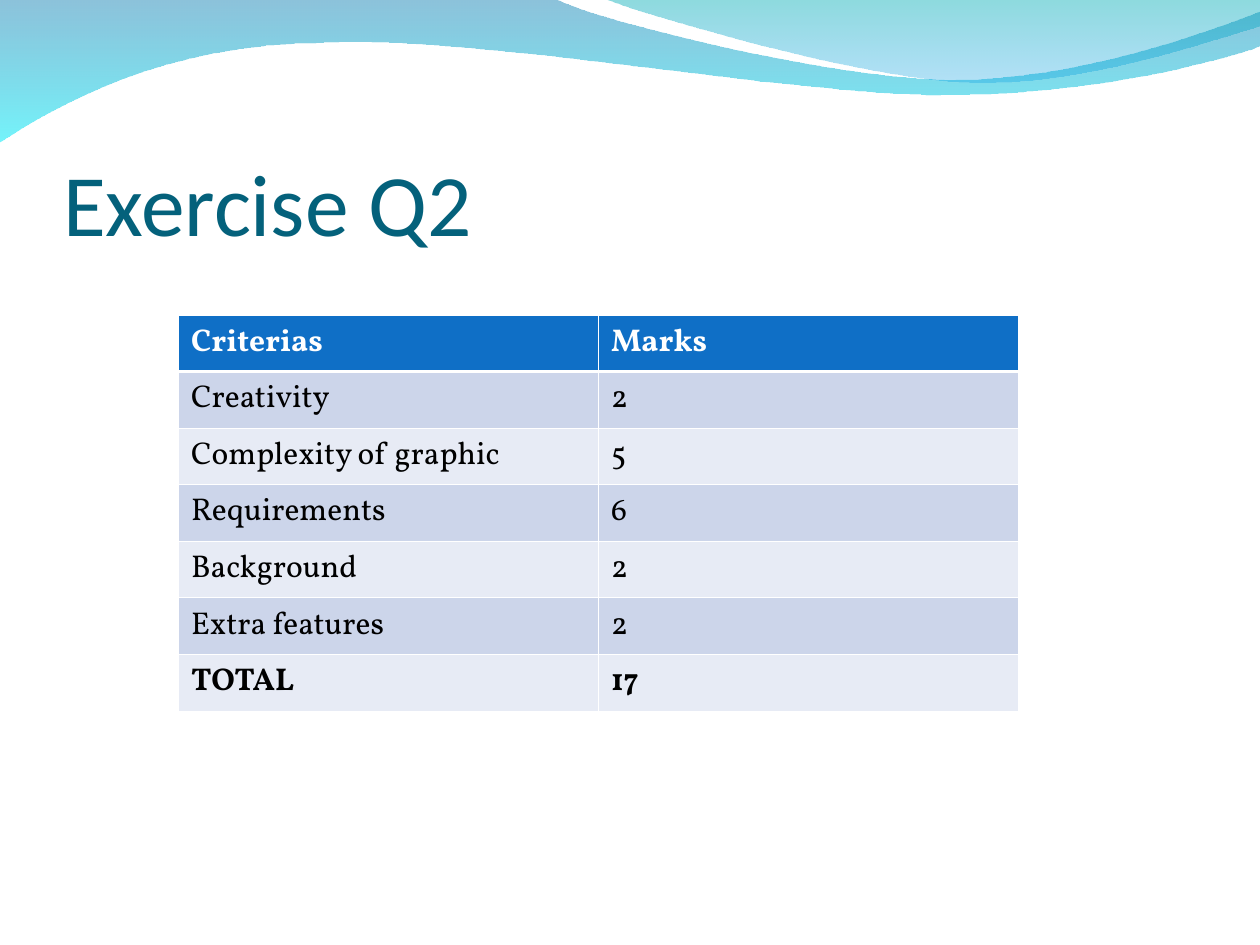
"""Build the Exercise Q2 marking slide with its wave header and criteria table."""
from dataclasses import dataclass

import lxml.etree
import pptx
import pptx.dml.color
import pptx.enum.text
import pptx.oxml.ns
import pptx.shapes.autoshape
import pptx.slide
import pptx.table
import pptx.text.text
import pptx.util

Point = tuple[float, float]

UNIT = pptx.util.Inches(1)
GRID_COLUMNS, GRID_ROWS = 10, 7.5
THIN, THICK = 0.45, 1.47
COLORS = {
    "title": "04617B",
    "header": "0F6FC6",
    "odd": "CCD5EA",
    "even": "E7EBF5",
    "white": "FFFFFF",
    "black": "000000",
    "deep": "0079AF",
    "aqua": "00EBF8",
    "teal": "00ADB6",
    "sky": "009BE5",
}
MARKS = [
    ("Criterias", "Marks"),
    ("Creativity", "2"),
    ("Complexity of graphic", "5"),
    ("Requirements", "6"),
    ("Background", "2"),
    ("Extra features", "2"),
    ("TOTAL", "17"),
]


@dataclass(frozen=True)
class Stop:
    color: str
    opacity: int


@dataclass(frozen=True)
class Wave:
    start: Point
    segments: list[tuple[Point, ...]]
    stops: tuple[Stop, Stop]


WAVES = [
    Wave(
        (0, -0.01),
        [
            ((4.4, -0.01),),
            ((4.76, 0.17), (6.64, 0.63), (7.58, 0.63)),
            ((8.53, 0.63), (9.58, 0.26), (10, 0.09)),
            ((10.01, 0.36),),
            ((9.83, 0.44), (8.7, 0.76), (7.46, 0.75)),
            ((6.22, 0.75), (3.82, 0.28), (2.57, 0.34)),
            ((1.29, 0.35), (0.46, 0.83), (-0.01, 1.13)),
            ((0, -0.01),),
        ],
        (Stop("deep", 45), Stop("aqua", 55)),
    ),
    Wave(
        (4.79, -0.01),
        [
            ((5.09, 0.11), (6.82, 0.62), (7.69, 0.65)),
            ((8.56, 0.69), (9.61, 0.32), (10, 0.21)),
            ((10, 0),),
            ((4.79, -0.01),),
        ],
        (Stop("teal", 45), Stop("sky", 30)),
    ),
]


def grid(length: float) -> pptx.util.Emu:
    return pptx.util.Emu(round(length * UNIT))


def rgb(name: str) -> pptx.dml.color.RGBColor:
    return pptx.dml.color.RGBColor.from_string(COLORS[name])


def bend_segments(shape: pptx.shapes.autoshape.Shape, wave: Wave) -> None:
    lines = iter(list(shape.element.iter(pptx.oxml.ns.qn("a:lnTo"))))
    for segment in wave.segments:
        group = [next(lines) for _ in segment]
        if len(group) == 3:
            curve = lxml.etree.Element(pptx.oxml.ns.qn("a:cubicBezTo"))
            group[0].addprevious(curve)
            for line in group:
                curve.append(line[0])
                line.getparent().remove(line)


def draw_wave(slide: pptx.slide.Slide, wave: Wave) -> None:
    points = [point for segment in wave.segments for point in segment]
    builder = slide.shapes.build_freeform(*map(grid, wave.start))
    builder.add_line_segments([(grid(x), grid(y)) for x, y in points], close=True)
    shape = builder.convert_to_shape()
    bend_segments(shape, wave)
    shape.shadow.inherit = False
    shape.line.fill.background()
    shape.fill.gradient()
    shape.fill.gradient_angle = 270
    elements = shape.element.iter(pptx.oxml.ns.qn("a:gs"))
    for target, element, stop in zip(shape.fill.gradient_stops, elements, wave.stops):
        target.color.rgb = rgb(stop.color)
        alpha = lxml.etree.SubElement(element[0], pptx.oxml.ns.qn("a:alpha"))
        alpha.set("val", str(stop.opacity * 1000))


def add_run(
    paragraph: pptx.text.text._Paragraph,
    text: str,
    font: str,
    size: float,
    color: str,
    bold: bool = False,
) -> None:
    run = paragraph.add_run()
    run.text = text
    run.font.name = font
    run.font.size = pptx.util.Pt(size)
    run.font.bold = bold
    run.font.color.rgb = rgb(color)


def draw_title(slide: pptx.slide.Slide, text: str) -> None:
    title = slide.shapes.title
    title.left, title.top, title.width, title.height = map(grid, (0.5, 0.77, 9, 1.25))
    frame = title.text_frame
    frame.auto_size = pptx.enum.text.MSO_AUTO_SIZE.NONE
    frame.vertical_anchor = pptx.enum.text.MSO_ANCHOR.BOTTOM
    frame.margin_left = frame.margin_right = frame.margin_bottom = 0
    frame.margin_top = grid(0.05)
    paragraph = frame.paragraphs[0]
    paragraph.alignment = pptx.enum.text.PP_ALIGN.LEFT
    add_run(paragraph, text, "Calibri", 50, "title")
    title.element.getparent().append(title.element)


def add_border(cell: pptx.table._Cell, side: str, width: float) -> None:
    properties = cell._tc.get_or_add_tcPr()
    line = lxml.etree.SubElement(properties, pptx.oxml.ns.qn(f"a:ln{side}"))
    line.set("w", str(pptx.util.Pt(width)))
    fill = lxml.etree.SubElement(line, pptx.oxml.ns.qn("a:solidFill"))
    lxml.etree.SubElement(fill, pptx.oxml.ns.qn("a:srgbClr")).set("val", COLORS["white"])


def draw_table(slide: pptx.slide.Slide) -> None:
    row_height = 0.44
    box = (17 / 12, 2.5, GRID_COLUMNS * 2 / 3, row_height * len(MARKS))
    frame = slide.shapes.add_table(len(MARKS), 2, *map(grid, box))
    frame.height = grid(2.84)
    for row_index, texts in enumerate(MARKS):
        is_header = row_index == 0
        fill = "header" if is_header else ("even", "odd")[row_index % 2]
        widths = {
            "L": THIN,
            "R": THIN,
            "T": THICK if row_index == 1 else THIN,
            "B": THICK if is_header else THIN,
        }
        for column_index, text in enumerate(texts):
            cell = frame.table.cell(row_index, column_index)
            for side, width in widths.items():
                add_border(cell, side, width)
            cell.fill.solid()
            cell.fill.fore_color.rgb = rgb(fill)
            color = "white" if is_header else "black"
            bold = row_index in (0, len(MARKS) - 1)
            add_run(cell.text_frame.paragraphs[0], text, "Vollkorn", 18, color, bold)


def main() -> None:
    presentation = pptx.Presentation()
    presentation.slide_width = grid(GRID_COLUMNS)
    presentation.slide_height = grid(GRID_ROWS)
    slide = presentation.slides.add_slide(presentation.slide_layouts.get_by_name("Title Only"))
    for wave in WAVES:
        draw_wave(slide, wave)
    draw_title(slide, "Exercise Q2")
    draw_table(slide)
    presentation.save("out.pptx")


if __name__ == "__main__":
    main()
